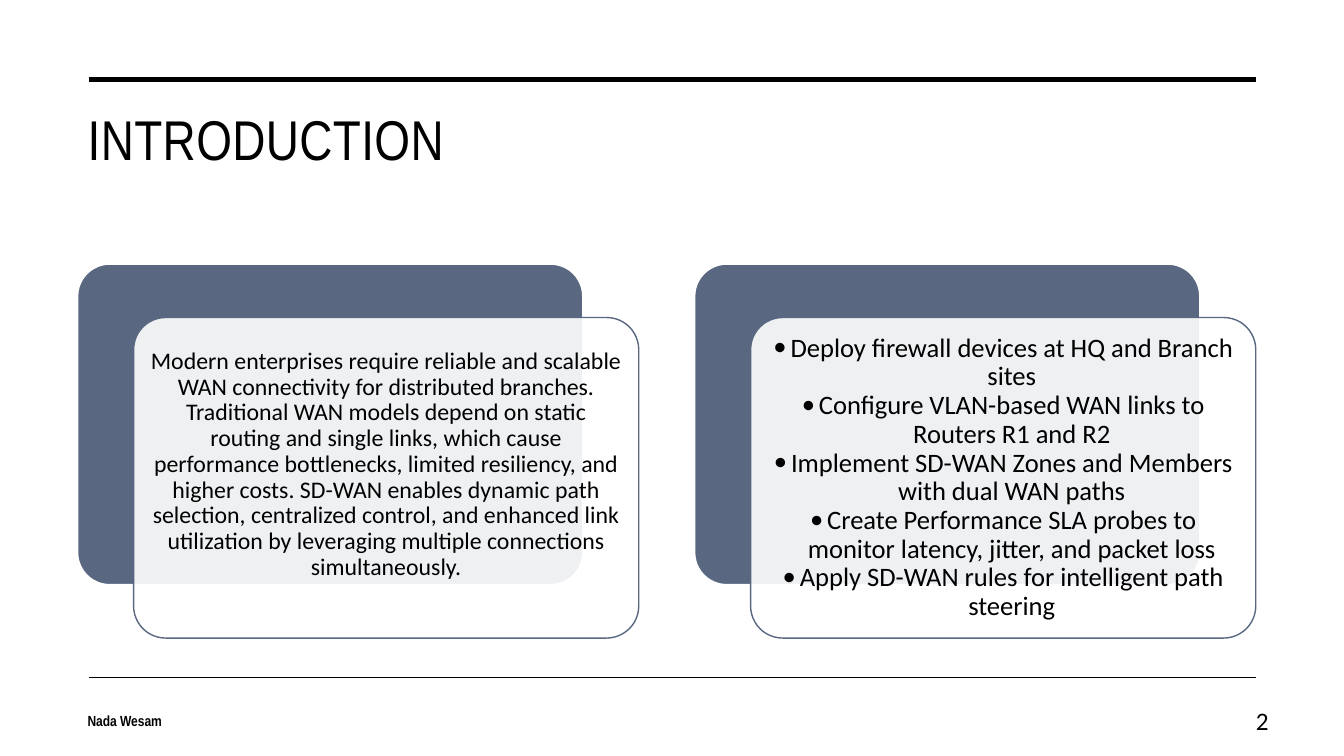
import pptx
import pptx.dml.color
import pptx.enum.shapes
import pptx.enum.text
import pptx.oxml
import pptx.oxml.ns
import pptx.util

Inches, Pt = pptx.util.Inches, pptx.util.Pt
ALIGN = pptx.enum.text.PP_ALIGN
ANCHOR = pptx.enum.text.MSO_ANCHOR
COLORS = {"ink": "000000", "slate": "596781", "white": "FFFFFF"}

TITLE = "INTRODUCTION"
AUTHOR = "Nada Wesam"
PAGE = "2"
CARDS = [
    {"left": 0.77, "size": 17, "inset": 0.07, "bottom": 0.33, "bulleted": False, "lines": [
        "Modern enterprises require reliable and scalable WAN connectivity for "
        "distributed branches. Traditional WAN models depend on static routing and "
        "single links, which cause performance bottlenecks, limited resiliency, and "
        "higher costs. SD-WAN enables dynamic path selection, centralized control, and "
        "enhanced link utilization by leveraging multiple connections simultaneously."]},
    {"left": 6.89, "size": 19, "inset": 0.08, "bottom": 0.08, "bulleted": True, "lines": [
        "Deploy firewall devices at HQ and Branch sites",
        "Configure VLAN-based WAN links to Routers R1 and R2",
        "Implement SD-WAN Zones and Members with dual WAN paths",
        "Create Performance SLA probes to monitor latency, jitter, and packet loss",
        "Apply SD-WAN rules for intelligent path steering"]},
]
CARD_TOP, CARD_WIDTH, CARD_HEIGHT = 2.62, 5.01, 3.18
PANEL_SHIFT_X, PANEL_SHIFT_Y = 0.555, 0.53
RULES = [(0.79, 3.5), (6.72, 1)]
RULE_LEFT, RULE_RIGHT = 0.88, 12.46


def rgb(name):
    return pptx.dml.color.RGBColor.from_string(COLORS[name])


def add_xml(parent, tag, **attributes):
    element = pptx.oxml.ns.qn(tag)
    child = parent.makeelement(element, attributes)
    parent.append(child)


def add_run(paragraph, text, face, size, bold=False):
    run = paragraph.add_run()
    run.text = text
    run.font.name, run.font.size, run.font.bold = face, Pt(size), bold
    run.font.color.rgb = rgb("ink")
    return run


def add_rule(slide, y, weight):
    rule = slide.shapes.add_connector(
        pptx.enum.shapes.MSO_CONNECTOR.STRAIGHT,
        Inches(RULE_LEFT), Inches(y), Inches(RULE_RIGHT), Inches(y))
    rule.line.color.rgb = rgb("ink")
    rule.line.width = Pt(weight)
    add_xml(rule._element.spPr, "a:effectLst")


def add_rounded(slide, left, top, fill, outline):
    box = slide.shapes.add_shape(
        pptx.enum.shapes.MSO_SHAPE.ROUNDED_RECTANGLE,
        Inches(left), Inches(top), Inches(CARD_WIDTH), Inches(CARD_HEIGHT))
    box.adjustments[0] = 0.1
    box.shadow.inherit = False
    box.fill.solid()
    box.fill.fore_color.rgb = rgb(fill)
    box.line.color.rgb = rgb(outline)
    box.line.width = Pt(1)
    return box


def add_card(slide, card):
    """Add a slate backing with a translucent text panel offset over it."""
    add_rounded(slide, card["left"], CARD_TOP, "slate", "white")
    panel = add_rounded(slide, card["left"] + PANEL_SHIFT_X, CARD_TOP + PANEL_SHIFT_Y,
                        "white", "slate")
    fill_color = panel._element.spPr.find(".//" + pptx.oxml.ns.qn("a:srgbClr"))
    add_xml(fill_color, "a:alpha", val="90000")

    frame = panel.text_frame
    frame.word_wrap = True
    frame.vertical_anchor = ANCHOR.MIDDLE
    frame.margin_left = frame.margin_right = frame.margin_top = Inches(card["inset"])
    frame.margin_bottom = Inches(card["bottom"])
    for i, line in enumerate(card["lines"]):
        paragraph = frame.add_paragraph() if i else frame.paragraphs[0]
        paragraph.alignment = ALIGN.CENTER
        paragraph.line_spacing = 0.9
        if card["bulleted"]:
            properties = paragraph._p.get_or_add_pPr()
            properties.set("marL", str(Inches(0.17)))
            properties.set("indent", str(-Inches(0.17)))
            add_xml(properties, "a:buFont", typeface="Calibri")
            add_xml(properties, "a:buChar", char="•")
        add_run(paragraph, line, "Calibri", card["size"])


def add_footer(slide, left, width, text, face, size, bold, alignment):
    footer = slide.shapes.add_textbox(Inches(left), Inches(6.95), Inches(width), Inches(0.4))
    footer.text_frame.word_wrap = True
    footer.text_frame.vertical_anchor = ANCHOR.MIDDLE
    paragraph = footer.text_frame.paragraphs[0]
    paragraph.alignment = alignment
    add_run(paragraph, text, face, size, bold)


def main():
    deck = pptx.Presentation()
    deck.slide_width, deck.slide_height = Inches(13.33), Inches(7.5)
    slide = deck.slides.add_slide(deck.slide_layouts[5])

    title = slide.shapes.title
    title.left, title.top = Inches(0.77), Inches(0.99)
    title.width, title.height = Inches(11.69), Inches(1.26)
    title.text_frame.vertical_anchor = ANCHOR.TOP
    heading = title.text_frame.paragraphs[0]
    heading.alignment = ALIGN.LEFT
    run = add_run(heading, TITLE, "Arial Narrow", 40)
    run.font._element.set("spc", "30")

    for y, weight in RULES:
        add_rule(slide, y, weight)
    for card in CARDS:
        add_card(slide, card)
    add_footer(slide, 0.77, 4.96, AUTHOR, "Arial Narrow", 10.5, True, ALIGN.LEFT)
    add_footer(slide, 11.94, 0.74, PAGE, "Calibri", 18, False, ALIGN.RIGHT)
    deck.save("out.pptx")


if __name__ == "__main__":
    main()
